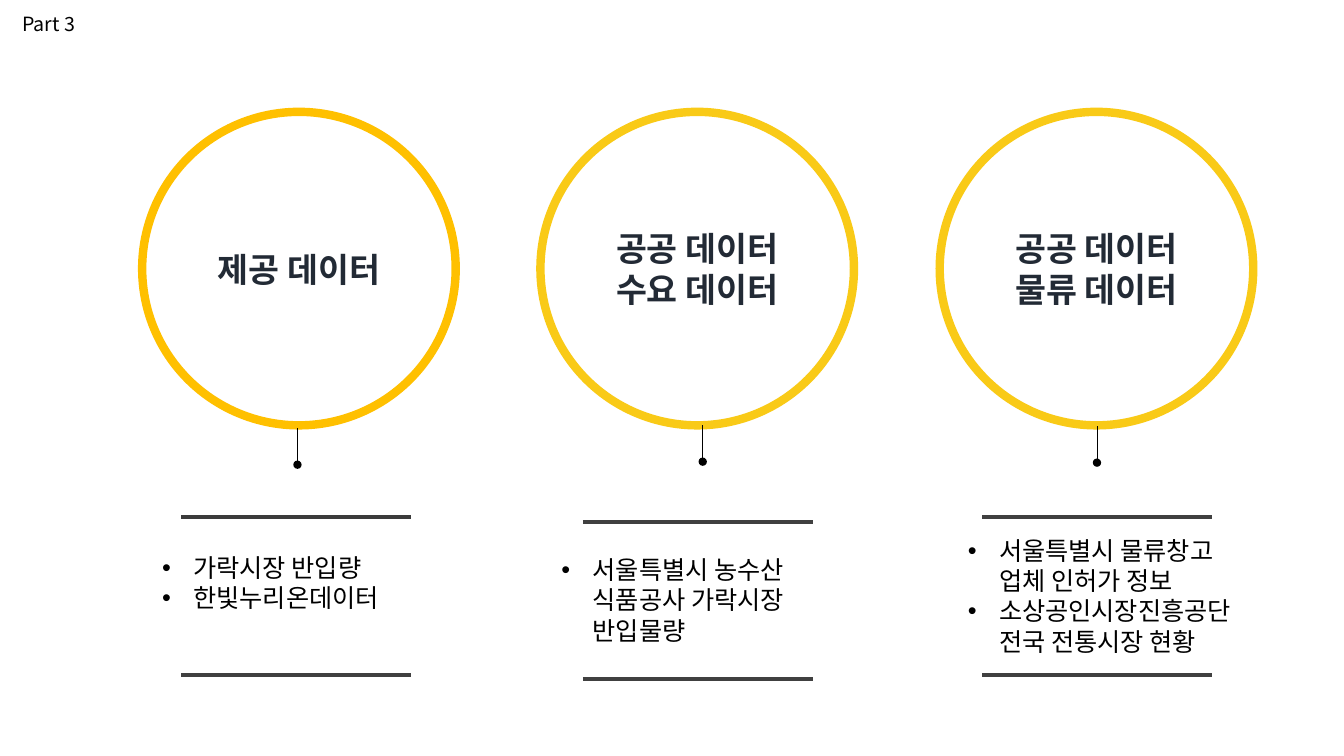
from dataclasses import dataclass

from pptx import Presentation
from pptx.dml.color import RGBColor
from pptx.enum import shapes as es, text as et
from pptx.oxml.ns import qn
from pptx.util import Inches, Pt
from lxml import etree

FONT = "Noto Sans CJK KR"
RING = 3.11
RULE = 2.28


@dataclass
class Topic:
    ring: float
    color: str
    head: list[str]
    stem: tuple[float, float]
    rule: float
    rows: tuple[float, float]
    tint: str
    box: tuple[float, float, float, float]
    items: list[str]


TOPICS = [
    Topic(1.41, "FFC000", ["제공 데이터"], (2.95, 4.25),
          1.8, (5.13, 6.7), "3B3B3B", (1.51, 5.43, 2.89, 0.71),
          ["가락시장 반입량", "한빛누리온데이터"]),
    Topic(5.36, "F9CA17", ["공공 데이터", "수요 데이터"], (6.97, 4.22),
          5.78, (5.18, 6.74), "404040", (5.47, 5.45, 2.89, 1.01),
          ["서울특별시 농수산\n식품공사 가락시장\n반입물량"]),
    Topic(9.32, "F9CA17", ["공공 데이터", "물류 데이터"], (10.88, 4.23),
          9.74, (5.13, 6.7), "404040", (9.5, 5.26, 3.12, 1.31),
          ["서울특별시 물류창고\n업체 인허가 정보",
           "소상공인시장진흥공단 전국 전통시장 현황"]),
]


def rgb(code: str) -> RGBColor:
    return RGBColor.from_string(code)


def sub(parent, tag: str, **attrs: str):
    return etree.SubElement(parent, qn(tag), attrs)


def add_text(para, words: str, size: float, color: str = "000000",
             bold: bool = False) -> None:
    for i, part in enumerate(words.split("\n")):
        if i:
            para.add_line_break()
        run = para.add_run()
        run.text = part
        font = run.font
        font.size, font.bold = Pt(size), bold
        font.color.rgb = rgb(color)
        font.name = FONT
        sub(font._element, "a:ea", typeface=FONT)


def fill_frame(frame, lines: list[str]):
    """Yield each line with its own paragraph."""
    for i, line in enumerate(lines):
        yield line, frame.add_paragraph() if i else frame.paragraphs[0]


def add_line(slide, start: tuple[float, float], end: tuple[float, float],
             color: str, width: float, dot: bool = False) -> None:
    line = slide.shapes.add_connector(
        es.MSO_CONNECTOR.STRAIGHT, *map(Inches, start + end))
    line.line.color.rgb = rgb(color)
    line.line.width = Pt(width)
    props = line._element.spPr
    if dot:
        sub(props.find(qn("a:ln")), "a:tailEnd", type="oval")
    sub(props, "a:effectLst")


def add_ring(slide, topic: Topic) -> None:
    ring = slide.shapes.add_shape(
        es.MSO_SHAPE.OVAL, *map(Inches, (topic.ring, 1.11, RING, RING)))
    ring.shadow.inherit = False
    ring.fill.background()
    ring.line.color.rgb = rgb(topic.color)
    ring.line.width = Pt(6)
    ring.text_frame.vertical_anchor = et.MSO_ANCHOR.MIDDLE
    for words, para in fill_frame(ring.text_frame, topic.head):
        para.alignment = et.PP_ALIGN.CENTER
        add_text(para, words, 24, "222A35", True)


def add_list(slide, topic: Topic) -> None:
    frame = slide.shapes.add_textbox(*map(Inches, topic.box)).text_frame
    frame.word_wrap = True
    for words, para in fill_frame(frame, topic.items):
        props = para._p.get_or_add_pPr()
        props.set("marL", str(Inches(0.31)))
        props.set("indent", str(Inches(-0.31)))
        sub(props, "a:buFont", typeface="Arial")
        sub(props, "a:buChar", char="•")
        add_text(para, words, 18)


def add_title(slide) -> None:
    title = slide.shapes.title
    title.left, title.top, title.width, title.height = map(
        Inches, (0.12, 0.07, 0.76, 0.34))
    frame = title.text_frame
    frame.word_wrap = False
    frame.auto_size = et.MSO_AUTO_SIZE.NONE
    frame.vertical_anchor = et.MSO_ANCHOR.TOP
    para = frame.paragraphs[0]
    para.alignment = et.PP_ALIGN.LEFT
    add_text(para, "Part 3", 14)


def main() -> None:
    deck = Presentation()
    deck.slide_width, deck.slide_height = Inches(13.33), Inches(7.5)
    slide = deck.slides.add_slide(deck.slide_layouts[5])
    add_title(slide)
    for topic in TOPICS:
        add_ring(slide, topic)
        x, y = topic.stem
        add_line(slide, (x, y), (x, y + 0.36), "000000", 0.5, dot=True)
        for row, color in zip(topic.rows, (topic.tint, "404040")):
            add_line(slide, (topic.rule, row), (topic.rule + RULE, row),
                     color, 3)
        add_list(slide, topic)
    deck.save("out.pptx")


if __name__ == "__main__":
    main()
